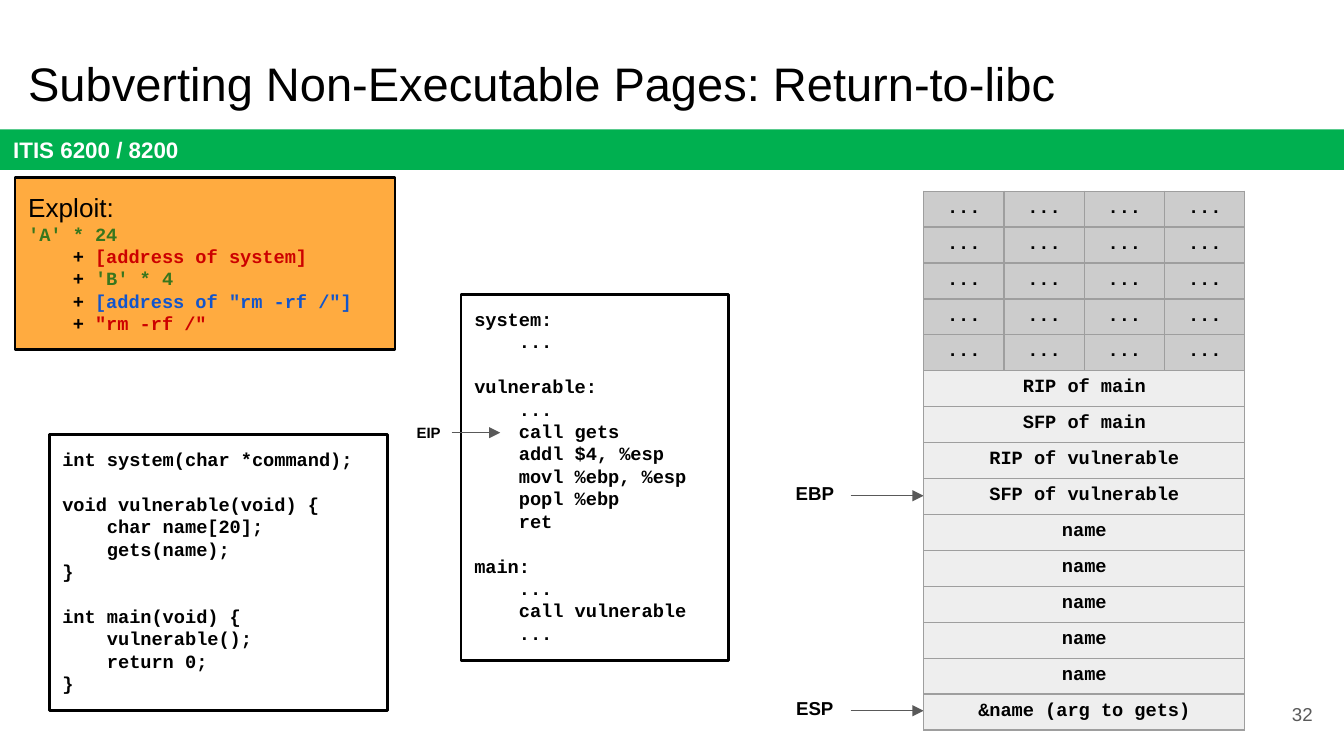
from lxml import etree
from pptx import Presentation
from pptx.dml.color import RGBColor
from pptx.enum.shapes import MSO_CONNECTOR, MSO_SHAPE
from pptx.enum.text import MSO_ANCHOR, PP_ALIGN
from pptx.oxml.ns import qn
from pptx.util import Pt

RECT = MSO_SHAPE.RECTANGLE
STRAIGHT = MSO_CONNECTOR.STRAIGHT
TOP, MIDDLE = MSO_ANCHOR.TOP, MSO_ANCHOR.MIDDLE
LEFT, CENTER, RIGHT = PP_ALIGN.LEFT, PP_ALIGN.CENTER, PP_ALIGN.RIGHT

COLORS = {
    "black": "000000", "white": "FFFFFF", "bar": "00B050", "exploit": "FFAB40",
    "filler": "38761D", "address": "CC0000", "pointer": "1155CC",
    "gray": "595959", "border": "9E9E9E", "unused": "CCCCCC", "frame": "EEEEEE",
}
SANS = {"name": "Arial", "size": Pt(10), "bold": True}
CODE = {"name": "Courier New", "size": Pt(10), "bold": True}
CODE_LINE = 12

TABLE_LEFT, TABLE_TOP, COL_WIDTH, ROW_HEIGHT = 494.8, 102.4, 43.05, 19.2
STACK = (
    [["..."] * 4] * 5
    + [["RIP of main"], ["SFP of main"], ["RIP of vulnerable"], ["SFP of vulnerable"]]
    + [["name"]] * 5
    + [["&name (arg to gets)"]]
)
REGISTERS = {"EBP": 8, "ESP": 14}  # stack row each register points to

EXPLOIT = [
    ("'A' * 24", "filler"),
    ("[address of system]", "address"),
    ("'B' * 4", "filler"),
    ('[address of "rm -rf /"]', "pointer"),
    ('"rm -rf /"', "address"),
]
ASSEMBLY = """system:
    ...

vulnerable:
    ...
    call gets
    addl $4, %esp
    movl %ebp, %esp
    popl %ebp
    ret

main:
    ...
    call vulnerable
    ..."""
SOURCE = """int system(char *command);

void vulnerable(void) {
    char name[20];
    gets(name);
}

int main(void) {
    vulnerable();
    return 0;
}"""


def rgb(color):
    return RGBColor.from_string(COLORS[color])


class Slide:
    """Holds the slide being built and its shared style."""

    def __init__(self, prs):
        self.s = prs.slides.add_slide(prs.slide_layouts[6])
        self.line_width = Pt(0.75)
        self.outline_width = Pt(1.5)

    def run(self, p, text, style, color="black"):
        r = p.add_run()
        r.text = text
        for key, value in style.items():
            setattr(r.font, key, value)
        r.font.color.rgb = rgb(color)

    def frame(self, tf, inset=7.2, anchor=TOP):
        values = {"word_wrap": True, "vertical_anchor": anchor}
        for side in ("left", "right", "top", "bottom"):
            values["margin_" + side] = Pt(inset)
        for key, value in values.items():
            setattr(tf, key, value)

    def text(self, box, text, style, color="black", align=LEFT, anchor=TOP, inset=7.2):
        tf = self.s.shapes.add_textbox(*map(Pt, box)).text_frame
        self.frame(tf, inset, anchor)
        p = tf.paragraphs[0]
        p.alignment = align
        self.run(p, text, style, color)

    def rect(self, box, fill, outline=None, anchor=TOP):
        sp = self.s.shapes.add_shape(RECT, *map(Pt, box))
        sp.shadow.inherit = False
        sp.fill.solid()
        sp.fill.fore_color.rgb = rgb(fill)
        if outline:
            sp.line.color.rgb = rgb(outline)
            sp.line.width = self.outline_width
        else:
            sp.line.fill.background()
        self.frame(sp.text_frame, anchor=anchor)
        sp.text_frame.paragraphs[0].alignment = LEFT
        return sp.text_frame

    def code(self, box, code):
        """Draw a code box; an empty code line becomes space before the next one."""
        tf = self.rect(box, "white", "black")
        for i, block in enumerate(code.split("\n\n")):
            for j, line in enumerate(block.split("\n")):
                p = tf.add_paragraph() if i or j else tf.paragraphs[0]
                p.alignment = LEFT
                if i and not j:
                    p.space_before = Pt(CODE_LINE)
                self.run(p, line, CODE)

    def arrow(self, x1, x2, y):
        c = self.s.shapes.add_connector(STRAIGHT, Pt(x1), Pt(y), Pt(x2), Pt(y))
        c.line.color.rgb = rgb("gray")
        c.line.width = self.line_width
        etree.SubElement(c.line._get_or_add_ln(), qn("a:tailEnd"), type="triangle")
        etree.SubElement(c._element.spPr, qn("a:effectLst"))

    def borders(self, cell):
        tc_pr = cell._tc.get_or_add_tcPr()
        for i, tag in enumerate(("a:lnL", "a:lnR", "a:lnT", "a:lnB")):
            ln = etree.Element(qn(tag), w=str(int(self.line_width)))
            fill = etree.SubElement(ln, qn("a:solidFill"))
            etree.SubElement(fill, qn("a:srgbClr"), val=COLORS["border"])
            tc_pr.insert(i, ln)

    def stack(self, rows, left, top):
        """Draw the memory stack; a row with one entry spans all columns."""
        cols = max(map(len, rows))
        size = (left, top, cols * COL_WIDTH, len(rows) * ROW_HEIGHT)
        table = self.s.shapes.add_table(len(rows), cols, *map(Pt, size)).table
        table.first_row = table.horz_banding = False
        for col in table.columns:
            col.width = Pt(COL_WIDTH)
        for i, entries in enumerate(rows):
            table.rows[i].height = Pt(ROW_HEIGHT)
            whole = len(entries) == 1
            for j in range(cols):
                cell = table.cell(i, j)
                cell.fill.solid()
                cell.fill.fore_color.rgb = rgb("frame" if whole else "unused")
                self.borders(cell)
                self.frame(cell, inset=3.6)
                if j < len(entries):
                    p = cell.text_frame.paragraphs[0]
                    p.alignment = CENTER
                    self.run(p, entries[j], CODE)
            if whole:
                table.cell(i, 0).merge(table.cell(i, cols - 1))


def main():
    prs = Presentation()
    prs.slide_width, prs.slide_height = Pt(720), Pt(405)
    s = Slide(prs)

    bar = s.rect((0, 69.3, 720, 21.7), "bar", anchor=MIDDLE)
    s.run(bar.paragraphs[0], "ITIS 6200 / 8200", SANS | {"size": Pt(12)}, "white")
    s.text((8, 21.8, 671, 45.3), "Subverting Non-Executable Pages: Return-to-libc",
           SANS | {"size": Pt(25.2), "bold": False})

    for name, row in REGISTERS.items():
        y = TABLE_TOP + (row + 0.5) * ROW_HEIGHT
        s.text((417.3, y - 13.3, 38.4, 26.6), name, SANS, align=CENTER)
        s.arrow(455.7, TABLE_LEFT, y)
    s.stack(STACK, TABLE_LEFT, TABLE_TOP)

    tf = s.rect((8, 95.2, 203.6, 92), "exploit", "black")
    s.run(tf.paragraphs[0], "Exploit:", SANS | {"size": Pt(14), "bold": False})
    for i, (part, color) in enumerate(EXPLOIT):
        p = tf.add_paragraph()
        p.alignment = LEFT
        if i:
            s.run(p, "    + ", CODE)
        s.run(p, part, CODE, color)

    s.code((247, 157.7, 143.5, 196.2), ASSEMBLY)
    s.text((217.4, 223.2, 24.6, 17.3), "EIP", SANS | {"size": Pt(8)},
           align=CENTER, inset=3.6)
    s.arrow(242, 268, 231.8)
    s.code((26.3, 232.7, 181.5, 147.8), SOURCE)

    s.text((667.1, 367.2, 43.2, 31), "32", SANS | {"bold": False}, "gray", RIGHT, MIDDLE)
    prs.save("out.pptx")


if __name__ == "__main__":
    main()
